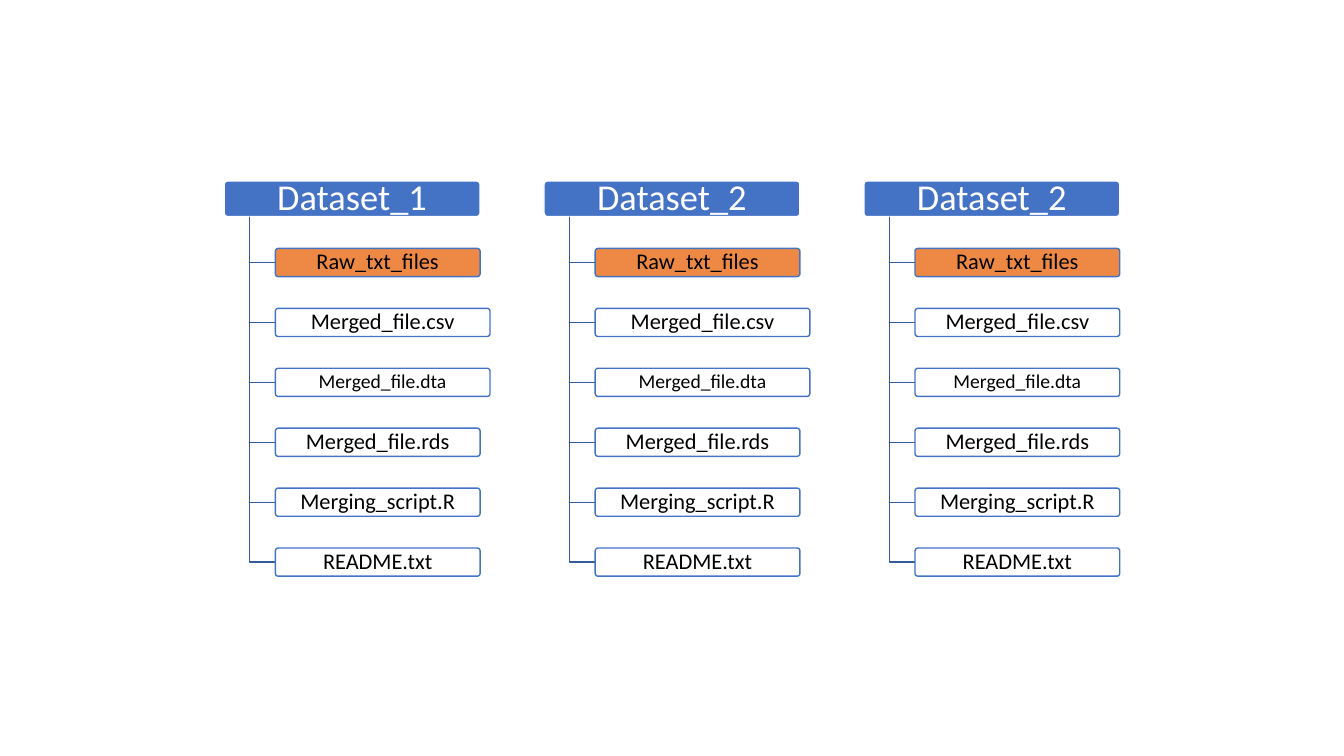
from dataclasses import dataclass

from lxml import etree
from pptx import Presentation
from pptx.dml.color import RGBColor
from pptx.enum.shapes import MSO_SHAPE
from pptx.enum.text import MSO_ANCHOR, PP_ALIGN
from pptx.oxml.ns import qn
from pptx.shapes.autoshape import Shape
from pptx.shapes.shapetree import SlideShapes
from pptx.util import Cm, Length, Pt

ROUNDED = MSO_SHAPE.ROUNDED_RECTANGLE
MIDDLE = MSO_ANCHOR.MIDDLE
CENTER = PP_ALIGN.CENTER


@dataclass(frozen=True)
class Theme:
    font: str = "Calibri"
    blue: RGBColor = RGBColor(0x44, 0x72, 0xC4)
    branch_blue: RGBColor = RGBColor(0x36, 0x5B, 0x9D)
    orange: RGBColor = RGBColor(0xED, 0x7D, 0x31)
    white: RGBColor = RGBColor(0xFF, 0xFF, 0xFF)
    black: RGBColor = RGBColor(0x00, 0x00, 0x00)
    dataset_size: Length = Pt(26)
    entry_size: Length = Pt(16)
    small_size: Length = Pt(14)
    line_width: Length = Pt(1)
    entry_opacity: int = 90


@dataclass(frozen=True)
class Entry:
    name: str
    fill: RGBColor
    size: Length
    widened: bool = False


@dataclass(frozen=True)
class Dataset:
    name: str
    has_wide_entries: bool


@dataclass(frozen=True)
class Box:
    left: Length
    top: Length
    width: Length
    height: Length


THEME = Theme()

DATASETS = [
    Dataset("Dataset_1", True),
    Dataset("Dataset_2", True),
    Dataset("Dataset_2", False),
]
ENTRIES = [
    Entry("Raw_txt_files", THEME.orange, THEME.entry_size),
    Entry("Merged_file.csv", THEME.white, THEME.entry_size, widened=True),
    Entry("Merged_file.dta", THEME.white, THEME.small_size, widened=True),
    Entry("Merged_file.rds", THEME.white, THEME.entry_size),
    Entry("Merging_script.R", THEME.white, THEME.entry_size),
    Entry("README.txt", THEME.white, THEME.entry_size),
]

FIRST_DATASET_LEFT = Cm(5.65)
DATASET_PITCH = Cm(8.06)
DATASET_TOP = Cm(4.56)
DATASET_WIDTH = Cm(6.45)
DATASET_HEIGHT = Cm(0.9)
TRUNK_INDENT = Cm(0.64)
ENTRY_INDENT = Cm(1.29)
FIRST_ENTRY_TOP = Cm(6.26)
ENTRY_PITCH = Cm(1.51)
ENTRY_WIDTH = Cm(5.16)
WIDE_ENTRY_WIDTH = Cm(5.41)
ENTRY_HEIGHT = Cm(0.71)
SIDE_INSET = Cm(0.1)
END_INSET = Cm(0.06)


def set_opacity(shape: Shape, percent: int) -> None:
    color = shape.fill._xPr.find(qn("a:solidFill"))[0]
    etree.SubElement(color, qn("a:alpha")).set("val", str(percent * 1000))


def add_label_box(shapes: SlideShapes, box: Box, label: str, size: Length,
                  fill: RGBColor, line: RGBColor, ink: RGBColor) -> Shape:
    shape = shapes.add_shape(ROUNDED, box.left, box.top, box.width, box.height)
    shape.adjustments[0] = 0.1
    shape.shadow.inherit = False
    shape.fill.solid()
    shape.fill.fore_color.rgb = fill
    shape.line.color.rgb = line
    shape.line.width = THEME.line_width

    frame = shape.text_frame
    frame.text = label
    frame.word_wrap = True
    frame.vertical_anchor = MIDDLE
    frame.margin_left = frame.margin_right = SIDE_INSET
    frame.margin_top = frame.margin_bottom = END_INSET
    paragraph = frame.paragraphs[0]
    paragraph.alignment = CENTER
    paragraph.line_spacing = 0.9
    font = paragraph.runs[0].font
    font.name = THEME.font
    font.size = size
    font.color.rgb = ink
    return shape


def add_branch(shapes: SlideShapes, dataset_left: Length, entry_box: Box) -> None:
    """Draw the elbow from under a dataset's heading to one of its entries."""
    trunk_x = dataset_left + TRUNK_INDENT
    entry_middle = entry_box.top + entry_box.height // 2
    builder = shapes.build_freeform(trunk_x, DATASET_TOP + DATASET_HEIGHT)
    builder.add_line_segments(
        [(trunk_x, entry_middle), (entry_box.left, entry_middle)], close=False)
    branch = builder.convert_to_shape()
    branch.shadow.inherit = False
    branch.fill.background()
    branch.line.color.rgb = THEME.branch_blue
    branch.line.width = THEME.line_width


def add_dataset(shapes: SlideShapes, dataset: Dataset, left: Length) -> None:
    heading_box = Box(left, DATASET_TOP, DATASET_WIDTH, DATASET_HEIGHT)
    add_label_box(shapes, heading_box, dataset.name, THEME.dataset_size,
                  THEME.blue, THEME.white, THEME.white)
    for row, entry in enumerate(ENTRIES):
        wide = entry.widened and dataset.has_wide_entries
        entry_box = Box(left + ENTRY_INDENT, FIRST_ENTRY_TOP + row * ENTRY_PITCH,
                        WIDE_ENTRY_WIDTH if wide else ENTRY_WIDTH, ENTRY_HEIGHT)
        add_branch(shapes, left, entry_box)
        entry_shape = add_label_box(shapes, entry_box, entry.name, entry.size,
                                    entry.fill, THEME.blue, THEME.black)
        set_opacity(entry_shape, THEME.entry_opacity)


def main() -> None:
    presentation = Presentation()
    presentation.slide_width = Cm(33.87)
    presentation.slide_height = Cm(19.05)
    slide = presentation.slides.add_slide(presentation.slide_layouts[6])
    for column, dataset in enumerate(DATASETS):
        add_dataset(slide.shapes, dataset,
                    FIRST_DATASET_LEFT + column * DATASET_PITCH)
    presentation.save("out.pptx")


if __name__ == "__main__":
    main()
